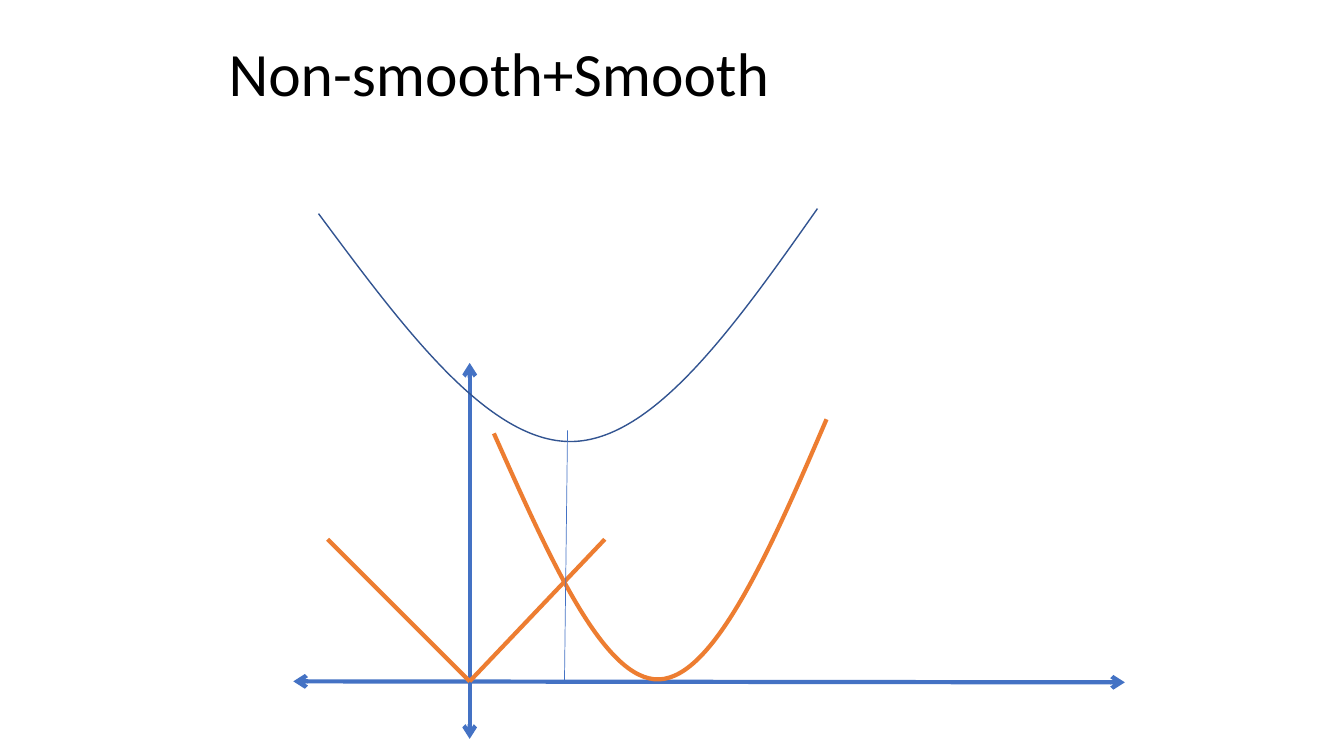
from lxml.etree import SubElement
from pptx import Presentation
from pptx.dml.color import RGBColor
from pptx.enum.shapes import MSO_CONNECTOR
from pptx.enum.text import MSO_ANCHOR
from pptx.oxml.ns import qn
from pptx.util import Pt

# Content, all lengths in points
COLORS = {"axis": "4472C4", "part": "ED7D31", "sum": "325491", "title": "000000"}
TITLE = "Non-smooth+Smooth"
TITLE_BOX = (156.2, 9.4, 648, 90)
ORIGIN = (335.5, 486.7)

# (start, end, color, width)
AXES = [
    ((209.5, 486.7), (803.5, 487.4), "axis", 3),
    ((335.5, 259.2), (335.5, 527.8), "axis", 3),
]
ABSOLUTE_VALUE = [
    (ORIGIN, (432, 385.2), "part", 3),
    (ORIGIN, (234, 385.2), "part", 3),
]
MINIMUM_MARK = ((403.2, 486.7), (405.4, 307.4), "axis", 0.5)

# (start point followed by Bezier triples, color, width)
CURVES = [
    ([(352.8, 309.6),
      (392.4, 398.2), (431.3, 486.7), (470.9, 485.3),
      (510.5, 483.8), (550.8, 391.7), (590.4, 299.5)], "part", 3),
    ([(227.5, 152.6),
      (288, 234), (348.5, 316.1), (408.2, 315.4),
      (467.3, 314.6), (525.6, 231.8), (583.9, 149)], "sum", 1),
]

presentation = Presentation()
presentation.slide_width, presentation.slide_height = Pt(960), Pt(540)
slide = presentation.slides.add_slide(presentation.slide_layouts[6])


def style_line(shape, color, width):
    shape.line.color.rgb = RGBColor.from_string(COLORS[color])
    shape.line.width = Pt(width)


def draw_line(start, end, color, width, arrows=False):
    line = slide.shapes.add_connector(
        MSO_CONNECTOR.STRAIGHT, *(Pt(v) for v in start + end))
    style_line(line, color, width)
    SubElement(line._element.spPr, qn("a:effectLst"))
    if arrows:
        for side in ("a:headEnd", "a:tailEnd"):
            SubElement(line.line._get_or_add_ln(), qn(side), type="arrow")


def draw_curve(points, color, width):
    start, *rest = [(Pt(x), Pt(y)) for x, y in points]
    builder = slide.shapes.build_freeform(*start)
    builder.add_line_segments(rest, close=False)
    curve = builder.convert_to_shape()
    curve.shadow.inherit = False
    curve.fill.background()
    style_line(curve, color, width)
    # Turn every three straight segments into one Bezier segment
    path = curve._element.find(".//" + qn("a:path"))
    segments = path.findall(qn("a:lnTo"))
    for i in range(0, len(segments), 3):
        bezier = SubElement(path, qn("a:cubicBezTo"))
        for segment in segments[i:i + 3]:
            bezier.append(segment[0])
            path.remove(segment)


# Title
title = slide.shapes.add_textbox(*(Pt(v) for v in TITLE_BOX)).text_frame
title.word_wrap = True
title.vertical_anchor = MSO_ANCHOR.MIDDLE
title.text = TITLE
heading = title.paragraphs[0]
heading.line_spacing = 0.9
heading.font.name = "Calibri"
heading.font.size = Pt(44)
heading.font.color.rgb = RGBColor.from_string(COLORS["title"])

# Axes
for axis in AXES:
    draw_line(*axis, arrows=True)

# Non-smooth part, smooth part and their sum
for branch in ABSOLUTE_VALUE:
    draw_line(*branch)
for curve_spec in CURVES:
    draw_curve(*curve_spec)

# Mark at the minimum of the sum
draw_line(*MINIMUM_MARK)

presentation.save("out.pptx")
